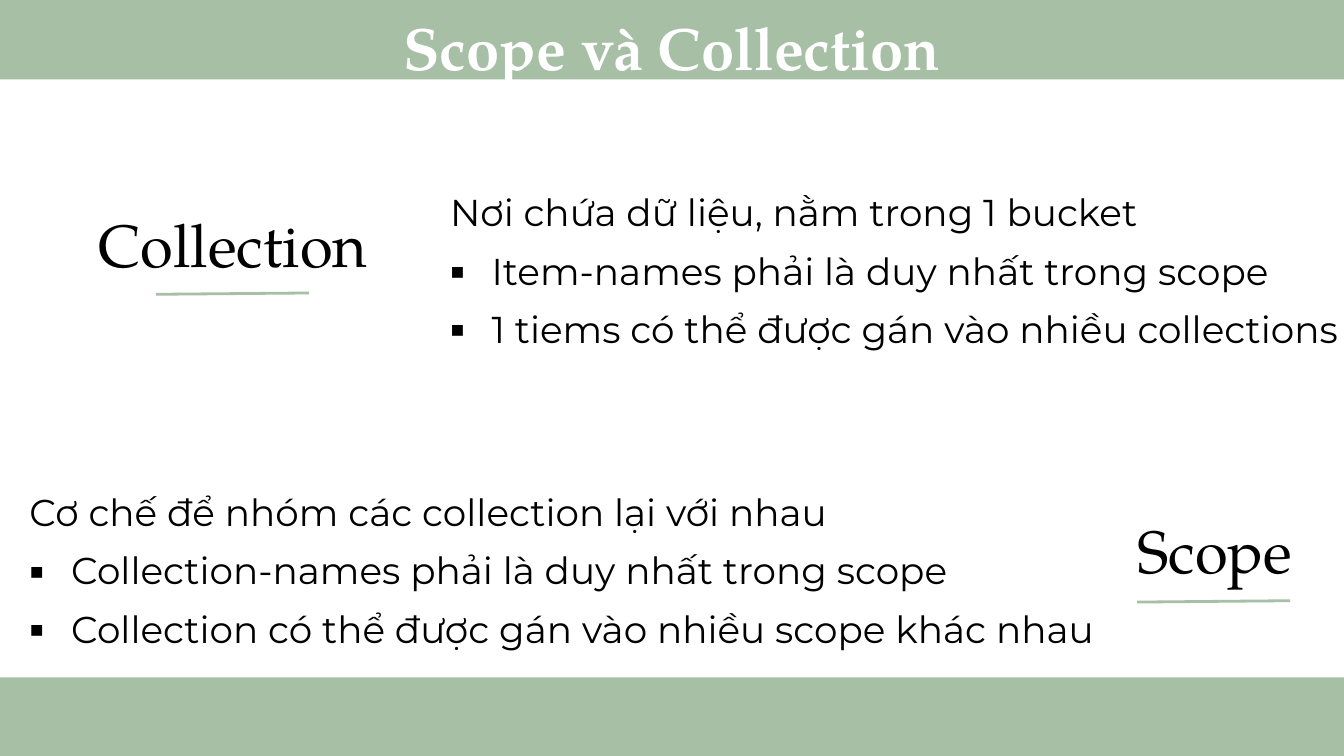
from dataclasses import dataclass

from lxml.etree import SubElement
from pptx import Presentation
from pptx.dml.color import RGBColor
from pptx.enum.shapes import MSO_CONNECTOR as Connector, MSO_SHAPE as Shape
from pptx.enum.text import MSO_ANCHOR as Anchor, PP_ALIGN as Align
from pptx.oxml.ns import qn
from pptx.slide import Slide
from pptx.text.text import TextFrame, _Paragraph as Paragraph
from pptx.util import Inches, Pt


@dataclass(frozen=True)
class Theme:
    green: str = "A6BFA5"
    black: str = "000000"
    white: str = "FFFFFF"
    heading_font: str = "TeX Gyre Pagella"
    body_font: str = "Montserrat"
    heading_size: float = 32
    body_size: float = 20
    line_spacing: float = 1.3
    rule_width: float = 1.5
    inset: float = 0.1
    bullet_indent: float = 0.31


@dataclass(frozen=True)
class Box:
    left: float
    top: float
    width: float
    height: float

    def lengths(self) -> list[Inches]:
        return [Inches(value) for value in (self.left, self.top, self.width, self.height)]


@dataclass(frozen=True)
class Topic:
    name: str
    name_box: Box
    rule_left: float
    rule_top: float
    body_box: Box
    definition: str
    points: tuple[str, ...]


THEME = Theme()
BANDS = (Box(-0.04, -0.03, 10.07, 0.62), Box(-0.09, 5.04, 10.17, 0.62))
RULE_LENGTH, RULE_RISE = 1.14, 0.01
TOPICS = (
    Topic(
        "Collection", Box(0.57, 1.44, 2.33, 0.74), 1.16, 2.18,
        Box(3.25, 1.21, 6.95, 1.95),
        "Nơi chứa dữ liệu, nằm trong 1 bucket",
        ("Item-names phải là duy nhất trong scope",
         "1 tiems có thể được gán vào nhiều collections"),
    ),
    Topic(
        "Scope", Box(8.32, 3.72, 1.44, 0.74), 8.46, 4.47,
        Box(0.12, 3.44, 8.18, 1.51),
        "Cơ chế để nhóm các collection lại với nhau",
        ("Collection-names phải là duy nhất trong scope",
         "Collection có thể được gán vào nhiều scope khác nhau"),
    ),
)


def add_band(slide: Slide, box: Box) -> None:
    band = slide.shapes.add_shape(Shape.RECTANGLE, *box.lengths())
    band.shadow.inherit = False
    band.fill.solid()
    band.fill.fore_color.rgb = RGBColor.from_string(THEME.green)
    band.line.fill.background()


def add_text_frame(slide: Slide, box: Box, anchor: Anchor, wrap: bool) -> TextFrame:
    text_frame = slide.shapes.add_textbox(*box.lengths()).text_frame
    text_frame.word_wrap = wrap
    text_frame.vertical_anchor = anchor
    text_frame.margin_left = text_frame.margin_right = Inches(THEME.inset)
    text_frame.margin_top = text_frame.margin_bottom = Inches(THEME.inset)
    return text_frame


def style_runs(paragraph: Paragraph, font_name: str, size: float, color: str,
               bold: bool = False) -> None:
    for run in paragraph.runs:
        run.font.name = font_name
        run.font.size = Pt(size)
        run.font.bold = bold
        run.font.color.rgb = RGBColor.from_string(color)


def add_heading(slide: Slide, text: str, box: Box, color: str,
                anchor: Anchor = Anchor.BOTTOM, bold: bool = False) -> None:
    text_frame = add_text_frame(slide, box, anchor, wrap=False)
    text_frame.text = text
    paragraph = text_frame.paragraphs[0]
    paragraph.alignment = Align.CENTER
    style_runs(paragraph, THEME.heading_font, THEME.heading_size, color, bold)


def add_bullet(paragraph: Paragraph) -> None:
    properties = paragraph._p.get_or_add_pPr()
    properties.set("marL", str(Inches(THEME.bullet_indent)))
    properties.set("indent", str(-Inches(THEME.bullet_indent)))
    bullet_color = SubElement(properties, qn("a:buClr"))
    SubElement(bullet_color, qn("a:srgbClr"), val=THEME.black)
    SubElement(properties, qn("a:buFont"), typeface=THEME.body_font)
    SubElement(properties, qn("a:buChar"), char="▪")


def add_body(slide: Slide, topic: Topic) -> None:
    text_frame = add_text_frame(slide, topic.body_box, Anchor.TOP, wrap=True)
    text_frame.text = "\n".join((topic.definition, *topic.points))
    for index, paragraph in enumerate(text_frame.paragraphs):
        if index > 0:
            add_bullet(paragraph)
        paragraph.line_spacing = THEME.line_spacing
        style_runs(paragraph, THEME.body_font, THEME.body_size, THEME.black)


def add_rule(slide: Slide, left: float, top: float) -> None:
    rule = slide.shapes.add_connector(
        Connector.STRAIGHT, Inches(left), Inches(top + RULE_RISE),
        Inches(left + RULE_LENGTH), Inches(top))
    rule.line.color.rgb = RGBColor.from_string(THEME.green)
    rule.line.width = Pt(THEME.rule_width)
    SubElement(rule._element.spPr, qn("a:effectLst"))


def main() -> None:
    # Widescreen 16:9 slide
    presentation = Presentation()
    presentation.slide_width = Inches(10)
    presentation.slide_height = Inches(10) * 9 // 16
    slide = presentation.slides.add_slide(presentation.slide_layouts[6])

    # Green bands at the top and bottom
    for band in BANDS:
        add_band(slide, band)

    # Title
    add_heading(slide, "Scope và Collection", Box(2.88, -0.02, 4.24, 0.74),
                THEME.white, Anchor.TOP, bold=True)

    # Topics: underlined name beside its explanation
    for topic in TOPICS:
        add_body(slide, topic)
        add_heading(slide, topic.name, topic.name_box, THEME.black)
        add_rule(slide, topic.rule_left, topic.rule_top)

    presentation.save("out.pptx")


if __name__ == "__main__":
    main()
